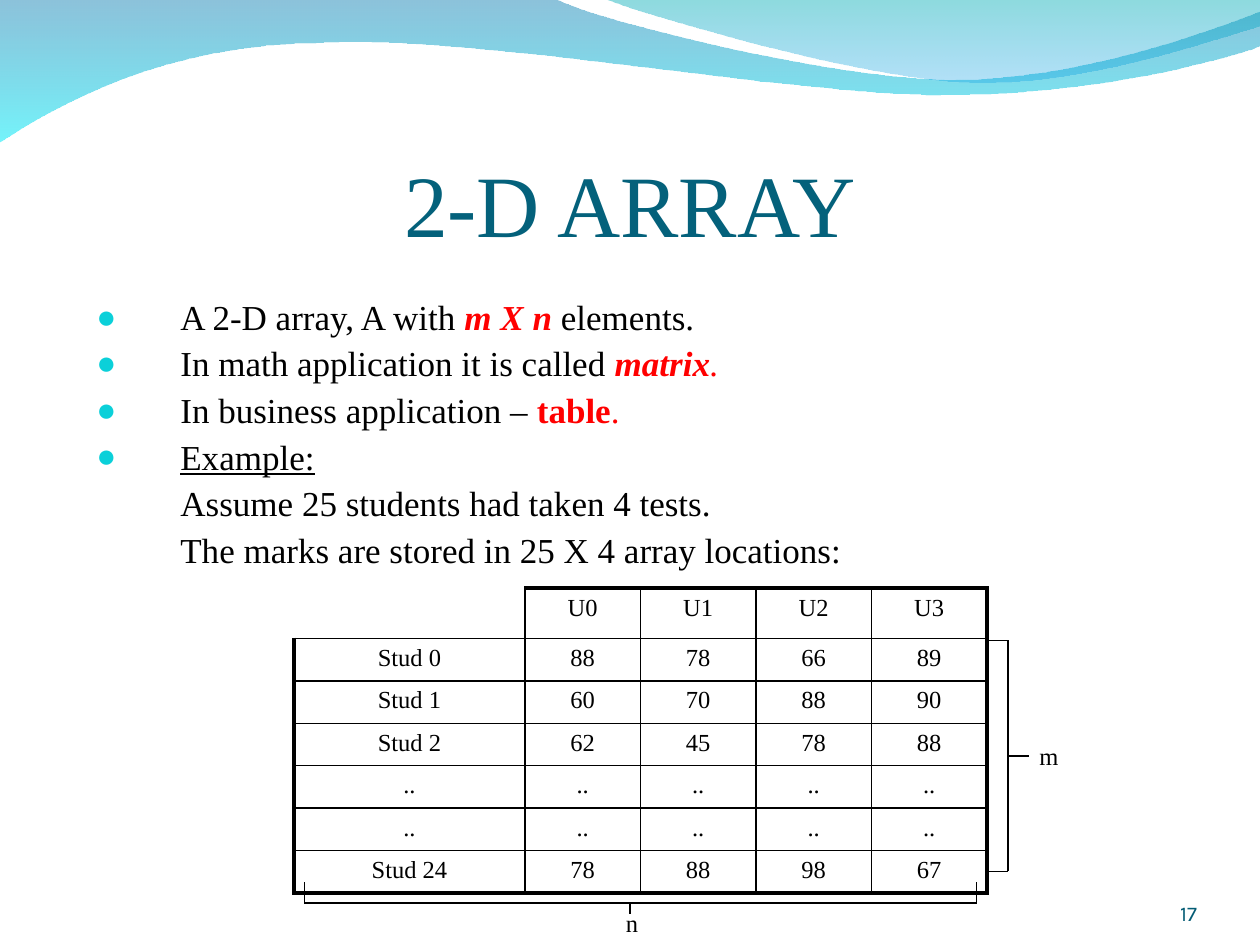
"""Build the 2-D array slide: waves, bullets, marks table and dimension brackets."""
import pptx
import pptx.dml.color
import pptx.enum.shapes
import pptx.enum.text
import pptx.oxml.ns
import pptx.util
from lxml import etree

Inches, Pt = pptx.util.Inches, pptx.util.Pt
ALIGN, ANCHOR = pptx.enum.text.PP_ALIGN, pptx.enum.text.MSO_ANCHOR
qn = pptx.oxml.ns.qn


def rgb(value):
    return pptx.dml.color.RGBColor.from_string(value)


def write(p, runs, size, color="000000", font="Times New Roman", align=ALIGN.CENTER):
    p.alignment = align
    for text, changes in runs:
        r = p.add_run()
        r.text = text
        look = {"name": font, "size": Pt(size), "color": color, **changes}
        r.font.color.rgb = rgb(look.pop("color"))
        for key, value in look.items():
            setattr(r.font, key, value)


prs = pptx.Presentation()
prs.slide_width, prs.slide_height = Inches(10), Inches(7.5)
s = prs.slides.add_slide(prs.slide_layouts[6])

waves = [
    ([(0, -0.01), (4.4, -0.01),
      (4.76, 0.17, 6.64, 0.63, 7.58, 0.63), (8.53, 0.63, 9.58, 0.26, 10, 0.09),
      (10.01, 0.36),
      (9.83, 0.44, 8.7, 0.76, 7.46, 0.75), (6.22, 0.75, 3.82, 0.28, 2.57, 0.34),
      (1.29, 0.35, 0.46, 0.83, -0.01, 1.13)],
     [("0079AF", 45), ("00EBF8", 55)]),
    ([(4.79, -0.01),
      (5.09, 0.11, 6.82, 0.62, 7.69, 0.65), (8.56, 0.69, 9.61, 0.32, 10, 0.21),
      (10, 0)],
     [("00ADB6", 45), ("009BE5", 30)]),
]
for outline, stops in waves:
    anchors = [(Inches(part[-2]), Inches(part[-1])) for part in outline]
    builder = s.shapes.build_freeform(*anchors[0])
    builder.add_line_segments(anchors[1:], close=True)
    sp = builder.convert_to_shape()
    segments = list(sp._element.iter(qn("a:lnTo")))
    for node, part in zip(segments, outline[1:]):
        if len(part) == 6:
            node.tag = qn("a:cubicBezTo")
            for k, (x, y) in enumerate((part[:2], part[2:4])):
                pt = etree.Element(qn("a:pt"), x=str(Inches(x) - sp.left), y=str(Inches(y) - sp.top))
                node.insert(k, pt)
    sp.shadow.inherit = False
    sp.line.fill.background()
    sp.fill.gradient()
    sp.fill.gradient_angle = 270
    for stop, (color, opacity), place in zip(sp.fill.gradient_stops, stops, (0, 1)):
        stop.position = place
        stop.color.rgb = rgb(color)
    for node, (color, opacity) in zip(sp.fill._xPr.iter(qn("a:srgbClr")), stops):
        etree.SubElement(node, qn("a:alpha"), val=str(opacity * 1000))

labels = [
    ("2-D ARRAY", (0.5, 0.77, 9, 1.25), ANCHOR.BOTTOM, (0, 0.05, 0, 0), True,
     dict(size=50, color="04617B")),
    ("17", (8.67, 6.95, 0.83, 0.4), ANCHOR.BOTTOM, (0, 0, 0, 0), True,
     dict(size=12, color="045C75", font="Karla", align=ALIGN.RIGHT)),
    ("n", (4.87, 7.16, 0.3, 0.34), ANCHOR.TOP, (0.1, 0.05, 0.1, 0.05), False,
     dict(size=14, align=ALIGN.LEFT)),
    ("m", (8.15, 5.83, 0.35, 0.34), ANCHOR.TOP, (0.1, 0.05, 0.1, 0.05), False,
     dict(size=14, align=ALIGN.LEFT)),
]
for text, place, anchor, insets, wrap, look in labels:
    tf = s.shapes.add_textbox(*map(Inches, place)).text_frame
    tf.word_wrap, tf.vertical_anchor = wrap, anchor
    for side, inset in zip(("left", "top", "right", "bottom"), insets):
        setattr(tf, f"margin_{side}", Inches(inset))
    write(tf.paragraphs[0], [(text, {})], **look)

RED = {"color": "FF0000"}
BOLD = {**RED, "bold": True}
BOLD_ITALIC = {**BOLD, "italic": True}
body = [
    (True, [("A 2-D array, A with ", {}), ("m X n ", BOLD_ITALIC), ("elements.", {})]),
    (True, [("In math application it is called ", {}), ("matrix", BOLD_ITALIC),
            (".", {**RED, "italic": True})]),
    (True, [("In business application – ", {}), ("table", BOLD), (".", RED)]),
    (True, [("Example:", {"underline": True})]),
    (False, [("\tAssume 25 students had taken 4 tests.", {})]),
    (False, [("\tThe marks are stored in 25 X 4 array locations:", {})]),
]
indent = Inches(2 / 3)
tf = s.shapes.add_textbox(Inches(2 / 3), Inches(7 / 3), Inches(9.08), Inches(4.5)).text_frame
tf.word_wrap = True
for i, (bulleted, runs) in enumerate(body):
    p = tf.paragraphs[0] if i == 0 else tf.add_paragraph()
    p.line_spacing, p.space_before = 0.9, Pt(5)
    write(p, runs, 20, align=ALIGN.JUSTIFY)
    pPr = p._p.get_or_add_pPr()
    pPr.set("marL", str(indent))
    pPr.set("indent", str(-indent))
    if bulleted:
        color = etree.SubElement(pPr, qn("a:buClr"))
        etree.SubElement(color, qn("a:srgbClr"), val="0BD0D9")
        etree.SubElement(pPr, qn("a:buSzPct"), val="95000")
        etree.SubElement(pPr, qn("a:buFont"), typeface="Times New Roman")
        etree.SubElement(pPr, qn("a:buChar"), char="●")

marks = [
    ["", "", "U0", "U1", "U2", "U3"],
    ["Stud 0", "", "88", "78", "66", "89"],
    ["Stud 1", "", "60", "70", "88", "90"],
    ["Stud 2", "", "62", "45", "78", "88"],
    ["..", "", "..", "..", "..", ".."],
    ["..", "", "..", "..", "..", ".."],
    ["Stud 24", "", "78", "88", "98", "67"],
]
last_row, last_col = len(marks) - 1, len(marks[0]) - 1
frame = s.shapes.add_table(len(marks), len(marks[0]), Inches(7 / 3), Inches(14 / 3),
                           Inches(5.5), Inches(7 / 3))
table = frame.table
table.first_row = table.horz_banding = False
table._tbl.tblPr.find(qn("a:tableStyleId")).text = "{2D5ABB26-0587-4C30-8999-92F81FD0307C}"
for col in table.columns:
    col.width = Inches(5.5 / 6)
for row in table.rows:
    row.height = Inches(2.02 / 6)
THIN, THICK = Pt(1), Pt(2.25)
for i, values in enumerate(marks):
    if i:
        table.cell(i, 0).merge(table.cell(i, 1))
    for j, value in enumerate(values):
        cell = table.cell(i, j)
        cell.fill.background()
        p = cell.text_frame.paragraphs[0]
        if value:
            p.space_before = Pt(3.5)
            write(p, [(value, {})], 14)
        else:
            end = etree.SubElement(p._p, qn("a:endParaRPr"), sz="1800")
            etree.SubElement(end, qn("a:latin"), typeface="Karla")
        corner = i == 0 and j < 2
        edges = {
            "lnL": 0 if corner else THICK if j == 0 else THIN,
            "lnR": 0 if corner and j == 0 else THICK if j == last_col else THIN,
            "lnT": 0 if corner else THICK if i == 0 else THIN,
            "lnB": THICK if i == last_row else THIN,
        }
        tcPr = cell._tc.get_or_add_tcPr()
        for k, (edge, width) in enumerate(edges.items()):
            ln = etree.Element(qn(f"a:{edge}"), w=str(int(width)))
            tcPr.insert(k, ln)
            if width:
                fill = etree.SubElement(ln, qn("a:solidFill"))
                etree.SubElement(fill, qn("a:srgbClr"), val="000000")
            else:
                etree.SubElement(ln, qn("a:noFill"))

bracket_twelfths = [
    (29, 84, 29, 86), (93, 84, 93, 86), (29, 86, 93, 86), (60, 86, 60, 87),
    (94, 61, 96, 61), (94, 83, 96, 83), (96, 61, 96, 83), (96, 72, 98, 72),
]
for ends in bracket_twelfths:
    line = s.shapes.add_connector(pptx.enum.shapes.MSO_CONNECTOR.STRAIGHT,
                                  *(Inches(end / 12) for end in ends))
    line.line.color.rgb = rgb("000000")
    line.line.width = Pt(0.75)
    etree.SubElement(line._element.spPr, qn("a:effectLst"))

prs.save("out.pptx")
